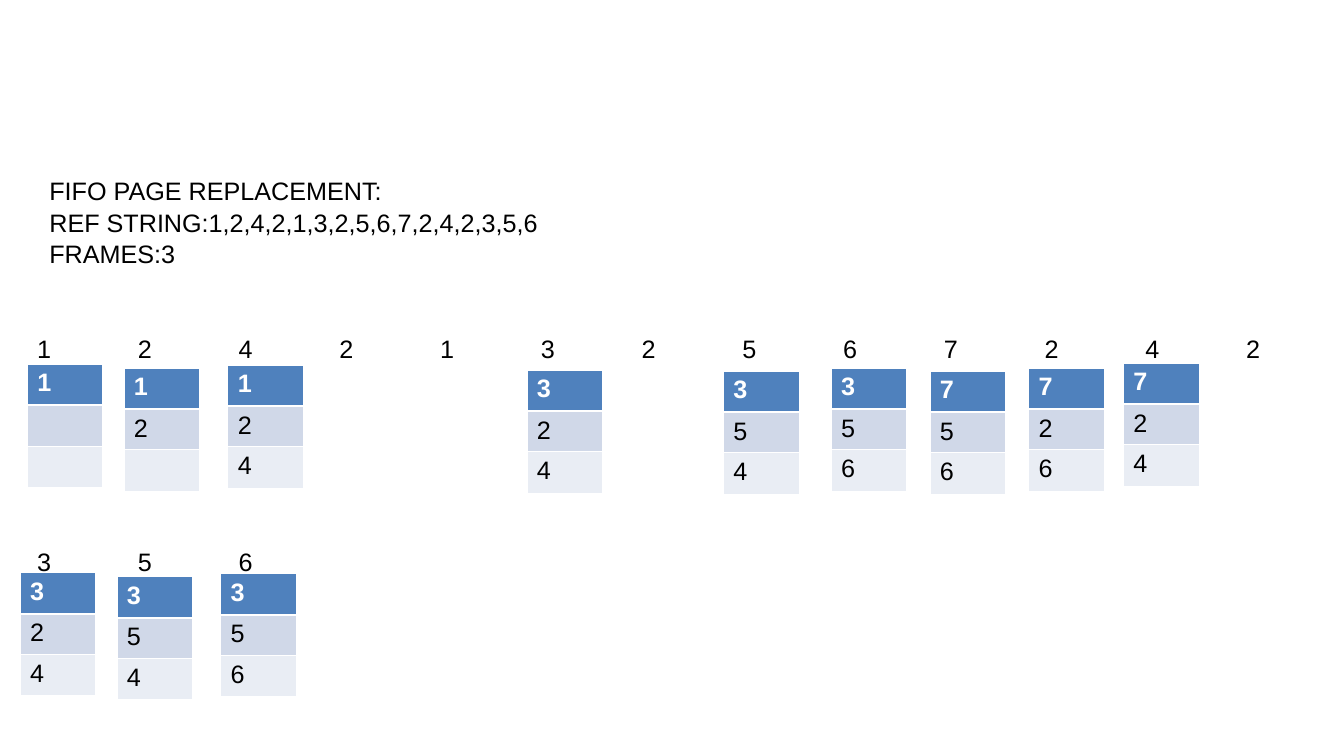
import dataclasses

import lxml.etree
import pptx
import pptx.dml.color
import pptx.enum.text
import pptx.oxml
import pptx.oxml.ns
import pptx.util

EMU_PER_PX = 9144
PX_PER_INCH = 100
FRAME_WIDTH = 75
ROW_HEIGHTS = (41, 40, 41)
ROW_FILLS = ("4F81BD", "D0D8E8", "E9EDF4")
THIN, THICK = 0.45, 1.47
TEXT_FORMAT = {"name": "Arial", "size": pptx.util.Pt(18), "bold": False}
HEADER_FORMAT = TEXT_FORMAT | {"bold": True}
FRAME_FORMAT = {
    "word_wrap": True,
    "auto_size": pptx.enum.text.MSO_AUTO_SIZE.NONE,
    "vertical_anchor": pptx.enum.text.MSO_ANCHOR.TOP,
}

HEADING = (
    "FIFO PAGE REPLACEMENT:",
    "REF STRING:1,2,4,2,1,3,2,5,6,7,2,4,2,3,5,6",
    "FRAMES:3",
)
REFERENCE_ROWS = ("1 2 4 2 1 3 2 5 6 7 2 4 2", "3 5 6")


@dataclasses.dataclass(frozen=True)
class FrameState:
    left: int
    top: int
    pages: tuple[str, str, str]


FRAME_STATES = (
    FrameState(27, 361, ("1", "", "")),
    FrameState(123, 365, ("1", "2", "")),
    FrameState(226, 362, ("1", "2", "4")),
    FrameState(523, 367, ("3", "2", "4")),
    FrameState(718, 368, ("3", "5", "4")),
    FrameState(825, 365, ("3", "5", "6")),
    FrameState(923, 368, ("7", "5", "6")),
    FrameState(1021, 365, ("7", "2", "6")),
    FrameState(1115, 360, ("7", "2", "4")),
    FrameState(20, 568, ("3", "2", "4")),
    FrameState(116, 572, ("3", "5", "4")),
    FrameState(219, 569, ("3", "5", "6")),
)


def px(length: int) -> pptx.util.Emu:
    return pptx.util.Emu(length * EMU_PER_PX)


def color(value: str) -> pptx.dml.color.RGBColor:
    return pptx.dml.color.RGBColor.from_string(value)


def apply(target, values: dict) -> None:
    for name, value in values.items():
        setattr(target, name, value)


def write(para, text: str, values: dict, ink: str) -> None:
    span = para.add_run()
    span.text = text
    apply(span.font, values)
    span.font.color.rgb = color(ink)


def add_tab_stops(para, count: int) -> None:
    stops = lxml.etree.SubElement(
        para._p.get_or_add_pPr(), pptx.oxml.ns.qn("a:tabLst")
    )
    for number in range(1, count + 1):
        stop = lxml.etree.SubElement(stops, pptx.oxml.ns.qn("a:tab"))
        stop.set("pos", str(px(number * PX_PER_INCH)))
        stop.set("algn", "l")


def write_lines(box, lines: tuple[str, ...], gap: float) -> None:
    frame = box.text_frame
    apply(frame, FRAME_FORMAT | {"margin_top": px(8)})
    for index, line in enumerate(lines):
        para = frame.add_paragraph() if index else frame.paragraphs[0]
        if "\t" in line:
            add_tab_stops(para, line.count("\t"))
        para.alignment = pptx.enum.text.PP_ALIGN.LEFT
        if index:
            para.space_before = pptx.util.Pt(gap)
        write(para, line, TEXT_FORMAT, "000000")


def add_borders(cell, top: float, bottom: float) -> None:
    properties = cell._tc.get_or_add_tcPr()
    widths = {"lnL": THIN, "lnR": THIN, "lnT": top, "lnB": bottom}
    for index, (side, width) in enumerate(widths.items()):
        border = pptx.oxml.parse_xml(
            f'<a:{side} {pptx.oxml.ns.nsdecls("a")} w="{pptx.util.Pt(width)}">'
            '<a:solidFill><a:srgbClr val="FFFFFF"/></a:solidFill>'
            f"</a:{side}>"
        )
        properties.insert(index, border)


def add_frame_table(page, state: FrameState) -> None:
    table = page.shapes.add_table(
        len(state.pages), 1, px(state.left), px(state.top),
        px(FRAME_WIDTH), px(sum(ROW_HEIGHTS)),
    ).table
    apply(table, {"first_row": False, "horz_banding": False})
    for index, number in enumerate(state.pages):
        table.rows[index].height = px(ROW_HEIGHTS[index])
        cell = table.cell(index, 0)
        cell.fill.solid()
        cell.fill.fore_color.rgb = color(ROW_FILLS[index])
        add_borders(
            cell,
            THICK if index == 1 else THIN,
            THICK if index == 0 else THIN,
        )
        if number:
            values, ink = (
                (TEXT_FORMAT, "000000") if index else (HEADER_FORMAT, "FFFFFF")
            )
            write(cell.text_frame.paragraphs[0], number, values, ink)


def main() -> None:
    deck = pptx.Presentation()
    apply(deck, {"slide_width": px(1334), "slide_height": px(750)})
    page = deck.slides.add_slide(deck.slide_layouts.get_by_name("Title Only"))

    references = page.shapes.add_textbox(px(27), px(323), px(1306), px(427))
    rows = tuple("\t".join(row.split()) for row in REFERENCE_ROWS)
    write_lines(references, rows, 130)

    for state in FRAME_STATES:
        add_frame_table(page, state)

    title = page.shapes.title
    apply(title, {
        "left": px(39), "top": px(166), "width": px(1199), "height": px(165),
    })
    write_lines(title, HEADING, 1)

    deck.save("out.pptx")


if __name__ == "__main__":
    main()
